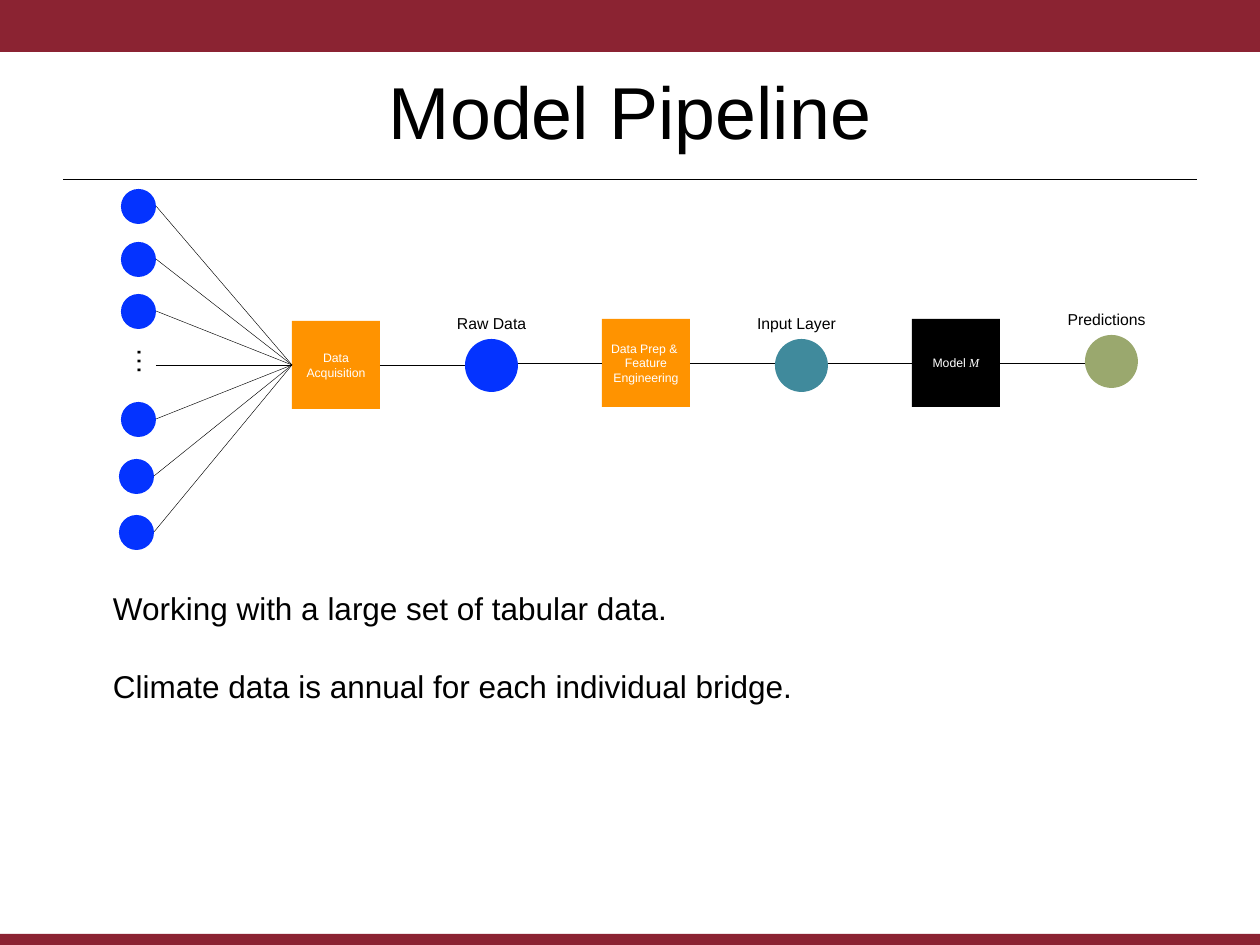
from lxml import etree
from pptx import Presentation
from pptx.dml.color import RGBColor
from pptx.enum.shapes import MSO_CONNECTOR, MSO_SHAPE
from pptx.enum.text import MSO_ANCHOR, PP_ALIGN
from pptx.oxml.ns import qn
from pptx.util import Inches, Pt

RECT, OVAL = MSO_SHAPE.RECTANGLE, MSO_SHAPE.OVAL
LINE = MSO_CONNECTOR.STRAIGHT
LEFT, MID = PP_ALIGN.LEFT, PP_ALIGN.CENTER
TOP, CENTER = MSO_ANCHOR.TOP, MSO_ANCHOR.MIDDLE
MAROON, BLUE, ORANGE = "8B2332", "0433FF", "FF9300"
TEAL, OLIVE, BLACK, WHITE = "408A9C", "9AA86E", "000000", "FFFFFF"
SANS, SERIF = "Arial", "Times New Roman"
NODE, DOT, BLOCK = 35, 53, 88


def px(n):
    """Turn pixels into EMU."""
    return round(n * Inches(1) / 126)


def color(code):
    """Turn a hex string into a colour."""
    return RGBColor.from_string(code)


def write(frame, paras, size, tint, align=LEFT, anchor=TOP, wrap=True, gap=0):
    """Fill a text frame with paragraphs given as lists of (text, font)."""
    frame.word_wrap = wrap
    frame.vertical_anchor = anchor
    frame.margin_left = frame.margin_right = px(6)
    frame.margin_top = frame.margin_bottom = px(6)
    for i, runs in enumerate(paras):
        para = frame.add_paragraph() if i else frame.paragraphs[0]
        para.alignment = align
        para.space_before = Pt(gap if i else 0)
        for text, face in runs:
            run = para.add_run()
            run.text = text
            run.font.size = Pt(size)
            run.font.name = face
            run.font.italic = face == SERIF
            run.font.color.rgb = color(tint)


def shape(slide, kind, box, fill):
    """Add a plain filled shape."""
    item = slide.shapes.add_shape(kind, *map(px, box))
    item.shadow.inherit = False
    item.fill.solid()
    item.fill.fore_color.rgb = color(fill)
    item.line.fill.background()
    return item


def label(slide, box, paras, size, **style):
    """Add a text box in black."""
    item = slide.shapes.add_textbox(*map(px, box))
    write(item.text_frame, paras, size, BLACK, **style)
    return item


def link(slide, start, end):
    """Add a thin black line."""
    item = slide.shapes.add_connector(LINE, *map(px, start + end))
    item.line.width = Pt(0.25)
    item.line.color.rgb = color(BLACK)
    etree.SubElement(item._element.spPr, qn("a:effectLst"))
    return item


def frame(slide, width, height):
    """Draw the bars, the rule and the title."""
    shape(slide, RECT, (0, 0, width, 52), MAROON)
    shape(slide, RECT, (0, height - 11, width, 11), MAROON)
    link(slide, (63, 179), (width - 63, 179))
    title = slide.shapes.title
    title.left, title.top = px(63), px(32)
    title.width, title.height = px(width - 126), px(157)
    write(title.text_frame, [[("Model Pipeline", SANS)]], 42, BLACK, MID, CENTER)


def block(slide, x, y, fill, paras):
    """Draw a square step with white text."""
    item = shape(slide, RECT, (x, y, BLOCK, BLOCK), fill)
    write(item.text_frame, paras, 7, WHITE, MID, CENTER)
    return item


def fan(slide, x, y, goal):
    """Draw the column of sources and join each to the goal block."""
    end = (x + 173, y + 176)
    spots = [(2, 0), (2, 53), (2, 105), (2, 213), (0, 270), (0, 326)]
    starts = [(x + 37, y + 176)]
    for dx, dy in spots:
        shape(slide, OVAL, (x + dx, y + dy, NODE, NODE), BLUE)
        starts.append((x + dx + NODE, y + dy + NODE // 2))
    for start in starts:
        link(slide, start, end).end_connect(goal, 1)
    dots = label(slide, (x - 11, y + 151, 43, 43), [[("…", SANS)]], 16,
                 align=MID, anchor=CENTER, wrap=False)
    dots.rotation = 270


def chain(slide, x, y):
    """Draw the steps and their results, and return the first step."""
    steps = [
        (2, ORANGE, [[("Data Acquisition", SANS)]],
         20, BLUE, "Raw Data", 0),
        (0, ORANGE, [[("Data Prep & ", SANS)], [("Feature Engineering", SANS)]],
         20, TEAL, "Input Layer", -5),
        (0, BLACK, [[("Model ", SANS), ("M", SERIF)]],
         16, OLIVE, "Predictions", -5),
    ]
    blocks = []
    for i, (dy, fill, paras, drop, tint, name, shift) in enumerate(steps):
        left = x + 310 * i
        spot = left + 173
        item = block(slide, left, y + dy, fill, paras)
        level = y + dy + BLOCK // 2
        link(slide, (left + BLOCK, level), (spot, level)).begin_connect(item, 3)
        if i:
            past = left - 137 + DOT
            link(slide, (past, level), (left, level)).end_connect(item, 1)
        shape(slide, OVAL, (spot, y + drop, DOT, DOT), tint)
        label(slide, (spot - 20 + shift, y + drop - 31, 93, 29),
              [[(name, SANS)]], 9, align=MID, wrap=False)
        blocks.append(item)
    return blocks[0]


def notes(slide, box):
    """Write the two remarks below the pipeline."""
    lines = ["Working with a large set of tabular data.",
             "Climate data is annual for each individual bridge."]
    label(slide, box, [[(line, SANS)] for line in lines], 18, gap=23)


def main():
    """Build and save the slide."""
    deck = Presentation()
    deck.slide_width, deck.slide_height = px(1260), px(945)
    slide = deck.slides.add_slide(deck.slide_layouts[5])
    frame(slide, 1260, 945)
    first = chain(slide, 292, 319)
    fan(slide, 119, 189, first)
    notes(slide, (107, 583, 1134, 127))
    deck.save("out.pptx")


if __name__ == "__main__":
    main()
